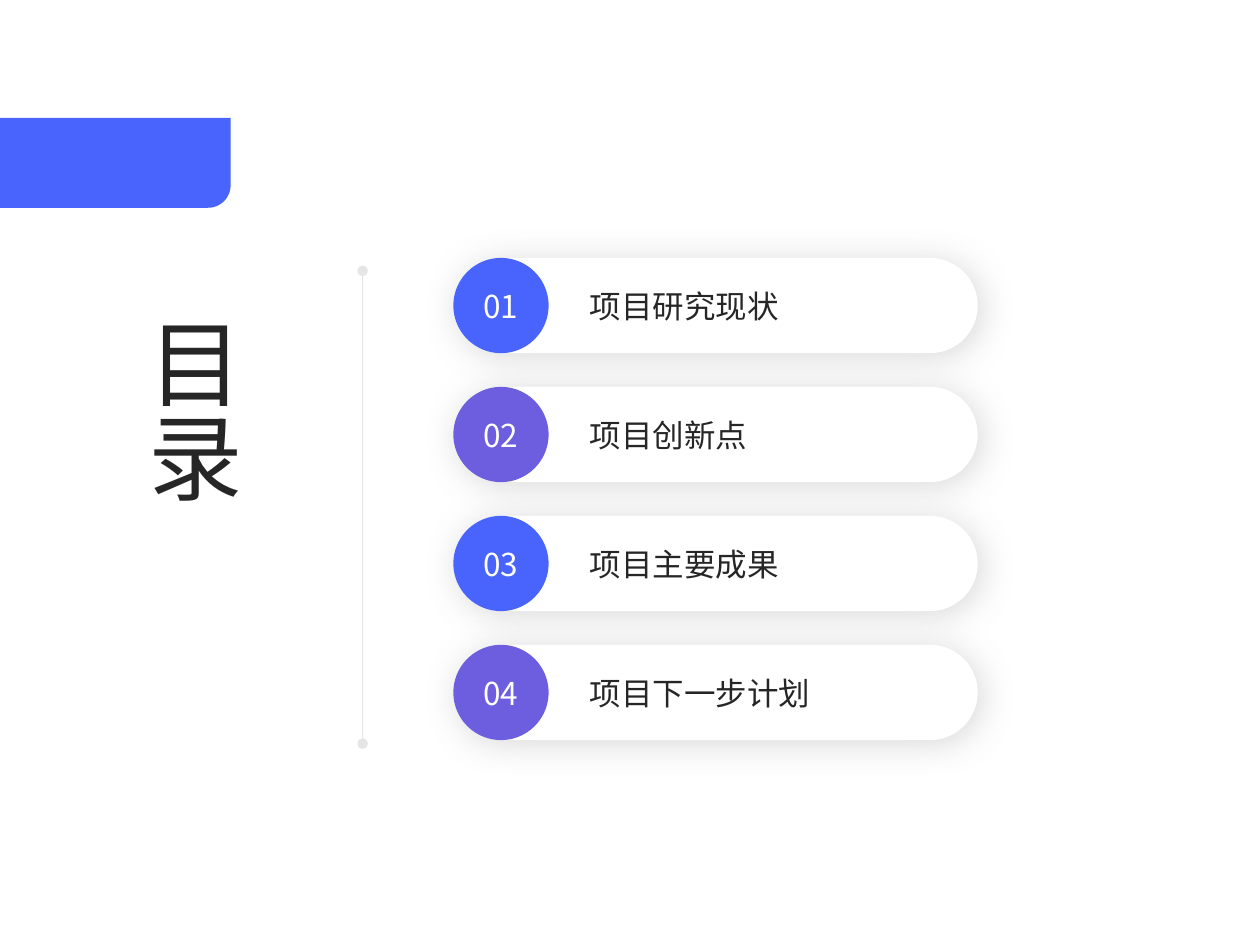
from lxml.etree import SubElement
from pptx import Presentation
from pptx.dml.color import RGBColor
from pptx.enum.shapes import MSO_CONNECTOR, MSO_SHAPE
from pptx.enum.text import MSO_ANCHOR, PP_ALIGN
from pptx.oxml import parse_xml
from pptx.oxml.ns import nsdecls, qn
from pptx.util import Cm, Pt

FONT = "Noto Sans CJK SC"
BLUE = RGBColor(0x48, 0x64, 0xFC)
PURPLE = RGBColor(0x6C, 0x5E, 0xDE)
WHITE = RGBColor(0xFF, 0xFF, 0xFF)
DARK = RGBColor(0x26, 0x26, 0x26)
GRAY = RGBColor(0x80, 0x80, 0x80)

TOPICS = ["项目研究现状", "项目创新点", "项目主要成果", "项目下一步计划"]
LEFT, TOP, STEP = 9.14, 5.2, 2.6
PILL_WIDTH, HEIGHT = 10.57, 1.92


def set_values(target, values):
    for name, value in values.items():
        setattr(target, name, value)


def write_text(shape, text, size, color, frame_format, alignment=PP_ALIGN.LEFT):
    frame = shape.text_frame
    set_values(frame, {"vertical_anchor": MSO_ANCHOR.MIDDLE, **frame_format})
    paragraph = frame.paragraphs[0]
    paragraph.alignment = alignment
    run = paragraph.add_run()
    run.text = text
    set_values(run.font, {"name": FONT, "size": Pt(size)})
    run.font.color.rgb = color
    SubElement(run.font._element, qn("a:ea"), typeface=FONT)


def add_filled_shape(slide, kind, left, top, width, height, color):
    shape = slide.shapes.add_shape(kind, Cm(left), Cm(top), Cm(width), Cm(height))
    shape.fill.solid()
    shape.fill.fore_color.rgb = color
    shape.line.fill.background()
    shape.shadow.inherit = False
    return shape


def add_text_box(slide, left, top, width, height, *text_settings):
    box = slide.shapes.add_textbox(Cm(left), Cm(top), Cm(width), Cm(height))
    write_text(box, *text_settings)
    return box


def add_soft_shadow(shape):
    effects = shape._element.spPr.find(qn("a:effectLst"))
    effects.append(parse_xml(
        f'<a:outerShdw {nsdecls("a")} blurRad="{Pt(20)}" dist="{Pt(3)}" '
        f'dir="{45 * 60000}" algn="ctr" rotWithShape="0">'
        f'<a:srgbClr val="{GRAY}"><a:alpha val="30000"/></a:srgbClr></a:outerShdw>'))


def add_divider(slide, x, top, bottom):
    """Draw a faint vertical line with a dot at each end."""
    divider = slide.shapes.add_connector(
        MSO_CONNECTOR.STRAIGHT, Cm(x), Cm(top), Cm(x), Cm(bottom))
    divider.line.width = Pt(0.5)
    divider.line.color.rgb = GRAY
    properties = divider._element.spPr
    line = properties.find(qn("a:ln"))
    SubElement(line.find(f'.//{qn("a:srgbClr")}'), qn("a:alpha"), val="20000")
    for end in ("a:headEnd", "a:tailEnd"):
        SubElement(line, qn(end), type="oval")
    SubElement(properties, qn("a:effectLst"))


def add_corner_bar(slide):
    """Draw the bar at the left edge, rounded at its bottom right corner."""
    bar = add_filled_shape(
        slide, MSO_SHAPE.ROUND_1_RECTANGLE, -0.05, 2.38, 4.7, 1.81, BLUE)
    bar.adjustments[0] = 0.25
    bar._element.spPr.xfrm.set("flipV", "1")


def add_title(slide):
    title = add_text_box(slide, 2.44, 6.12, 2.87, 7.52,
                         "目录", 54, DARK, {"word_wrap": True})
    title.text_frame._txBody.bodyPr.set("vert", "eaVert")


def add_topic(slide, index, topic):
    top = TOP + index * STEP
    pill = add_filled_shape(
        slide, MSO_SHAPE.ROUNDED_RECTANGLE, LEFT, top, PILL_WIDTH, HEIGHT, WHITE)
    pill.adjustments[0] = 0.5
    add_soft_shadow(pill)

    badge = add_filled_shape(
        slide, MSO_SHAPE.OVAL, LEFT, top, HEIGHT, HEIGHT, (BLUE, PURPLE)[index % 2])
    margins = ("margin_left", "margin_right", "margin_top", "margin_bottom")
    write_text(badge, f"{index + 1:02}", 18, WHITE,
               {"word_wrap": False, **dict.fromkeys(margins, 0)}, PP_ALIGN.CENTER)

    add_text_box(slide, 11.71, top, 7.98, HEIGHT, topic, 18, DARK,
                 {"word_wrap": True, "margin_left": Cm(0.18),
                  "margin_right": Cm(0.18), "margin_top": 0, "margin_bottom": 0})


def main():
    presentation = Presentation()
    set_values(presentation, {"slide_width": Cm(25.4), "slide_height": Cm(19.05)})
    slide = presentation.slides.add_slide(presentation.slide_layouts[6])
    add_divider(slide, 7.31, 5.46, 14.99)
    add_corner_bar(slide)
    add_title(slide)
    for index, topic in enumerate(TOPICS):
        add_topic(slide, index, topic)
    presentation.save("out.pptx")


if __name__ == "__main__":
    main()
